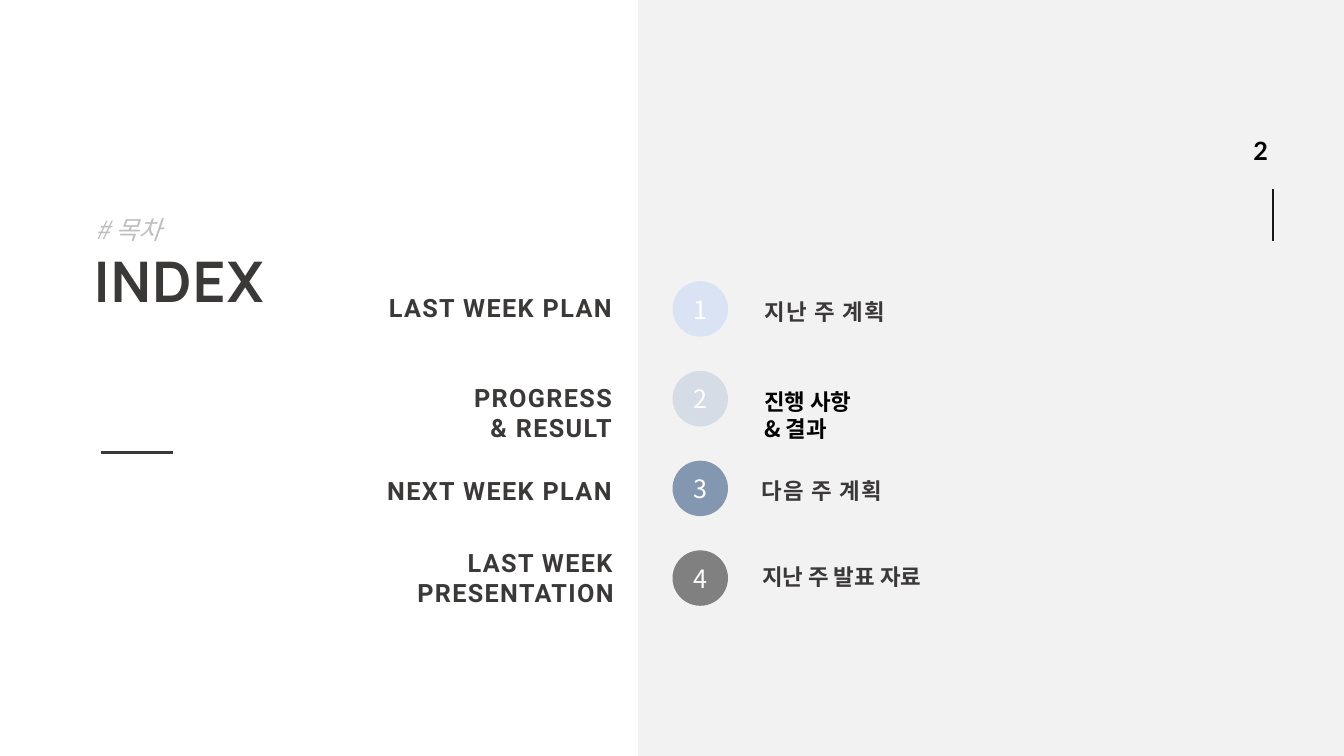
from lxml import etree
from pptx import Presentation
from pptx import util as u
from pptx.dml.color import RGBColor
from pptx.enum import shapes, text
from pptx.oxml.ns import qn

Inches = u.Inches
COLORS = {
    "panel": "F2F2F2", "ink": "3B3838", "black": "000000", "rule": "181717",
    "muted": "BFBFBF", "white": "FFFFFF",
    "badge1": "DAE3F3", "badge2": "D6DCE5", "badge3": "8497B0", "badge4": "808080",
}
KOREAN = "Noto Sans CJK KR"
LEFT, RIGHT, CENTER = text.PP_ALIGN.LEFT, text.PP_ALIGN.RIGHT, text.PP_ALIGN.CENTER
TOP, MIDDLE = text.MSO_ANCHOR.TOP, text.MSO_ANCHOR.MIDDLE

# English label with its box, badge colour, Korean label with its box and format
ENTRIES = [
    ("LAST WEEK PLAN", (2.81, 2.85, 3.31, 0.41), "badge1",
     "지난 주 계획", (7.53, 2.91, 2.67, 0.38), {"spacing": 1}),
    ("PROGRESS\n& RESULT", (2.81, 3.74, 3.31, 0.71), "badge2",
     "진행 사항\n& 결과", (7.53, 3.8, 2.67, 0.66), {"color": "black"}),
    ("NEXT WEEK PLAN", (2.78, 4.67, 3.34, 0.41), "badge3",
     "다음 주 계획", (7.5, 4.68, 2.7, 0.38), {"spacing": 1}),
    ("LAST WEEK PRESENTATION", (2.8, 5.38, 3.34, 0.71), "badge4",
     "지난 주 발표 자료", (7.51, 5.54, 2.7, 0.38), {}),
]


def color_of(name):
    return RGBColor.from_string(COLORS[name])


def write(shape, words, size=18, font=KOREAN, color="ink", bold=False, italic=False,
          spacing=0, align=LEFT, anchor=TOP, wrap=True, line_spacing=None, before=None):
    """Fill a shape with one paragraph per line of words."""
    frame = shape.text_frame
    frame.word_wrap = wrap
    frame.auto_size = text.MSO_AUTO_SIZE.NONE
    frame.vertical_anchor = anchor
    frame.margin_left = frame.margin_right = Inches(0.05)
    frame.margin_top = frame.margin_bottom = Inches(0.05)
    for index, line in enumerate(words.split("\n")):
        para = frame.add_paragraph() if index else frame.paragraphs[0]
        para.alignment = align
        para.line_spacing = line_spacing
        para.space_before = before
        span = para.add_run()
        span.text = line
        span.font.size = u.Pt(size)
        span.font.bold, span.font.italic = bold, italic
        span.font.color.rgb = color_of(color)
        span.font.name = font
        props = span.font._element
        etree.SubElement(props, qn("a:ea")).set("typeface", font)
        if spacing:
            props.set("spc", str(spacing * 100))


def add_label(page, words, box, **style):
    write(page.shapes.add_textbox(*map(Inches, box)), words, **style)


def add_block(page, kind, box, color):
    block = page.shapes.add_shape(kind, *map(Inches, box))
    block.shadow.inherit = False
    block.fill.solid()
    block.fill.fore_color.rgb = color_of(color)
    block.line.fill.background()
    return block


def add_rule(page, start, end, color, width):
    rule = page.shapes.add_connector(
        shapes.MSO_CONNECTOR.STRAIGHT, *map(Inches, start + end))
    rule.line.color.rgb = color_of(color)
    rule.line.width = u.Pt(width)
    etree.SubElement(rule._element.spPr, qn("a:effectLst"))


def add_side_panel(page, box):
    """Grey panel with the page number and its vertical rule."""
    left, top, width, height = box
    add_block(page, shapes.MSO_SHAPE.RECTANGLE, box, "panel")
    edge = left + width - 0.7
    add_rule(page, (edge, top + 1.88), (edge, top + 2.39), "rule", 1.5)
    add_label(page, "2", (edge - 0.25, top + 1.29, 0.25, 0.41),
              font="Lato", color="black", bold=True, wrap=False)


def add_heading(page, box):
    """Tag line, title and short underline."""
    left, top, width, height = box
    title = page.shapes.title
    title.left, title.top = Inches(left), Inches(top + 0.34)
    title.width, title.height = Inches(3.55), Inches(1.48)
    write(title, "INDEX", size=40, font="Manrope", bold=True, spacing=1,
          line_spacing=0.9, before=u.Pt(0))
    add_label(page, "# 목차", (left + 0.02, top, width, 0.41), color="muted",
              italic=True, line_spacing=u.Pt(18))
    base = top + height
    add_rule(page, (left + 0.12, base), (left + 0.84, base), "ink", 2.75)


def add_entries(page, left, top, size, pitch):
    """Numbered badges in a column, with labels on both sides."""
    for index, (english, english_box, shade, korean, korean_box, style) in enumerate(ENTRIES):
        badge = add_block(page, shapes.MSO_SHAPE.OVAL,
                          (left, top + index * pitch, size, size), shade)
        write(badge, str(index + 1), color="white", align=CENTER, anchor=MIDDLE, wrap=False)
        add_label(page, english, english_box, font="Roboto", bold=True,
                  spacing=1, align=RIGHT)
        add_label(page, korean, korean_box, size=16, bold=True, **style)


def main():
    deck = Presentation()
    deck.slide_width, deck.slide_height = Inches(13.33), Inches(7.5)
    page = deck.slides.add_slide(deck.slide_layouts.get_by_name("Title Only"))
    add_side_panel(page, (6.33, 0, 7, 7.5))
    add_heading(page, (0.88, 2.13, 4.33, 2.36))
    add_entries(page, left=6.67, top=2.79, size=0.55, pitch=0.89)
    deck.save("out.pptx")


if __name__ == "__main__":
    main()
